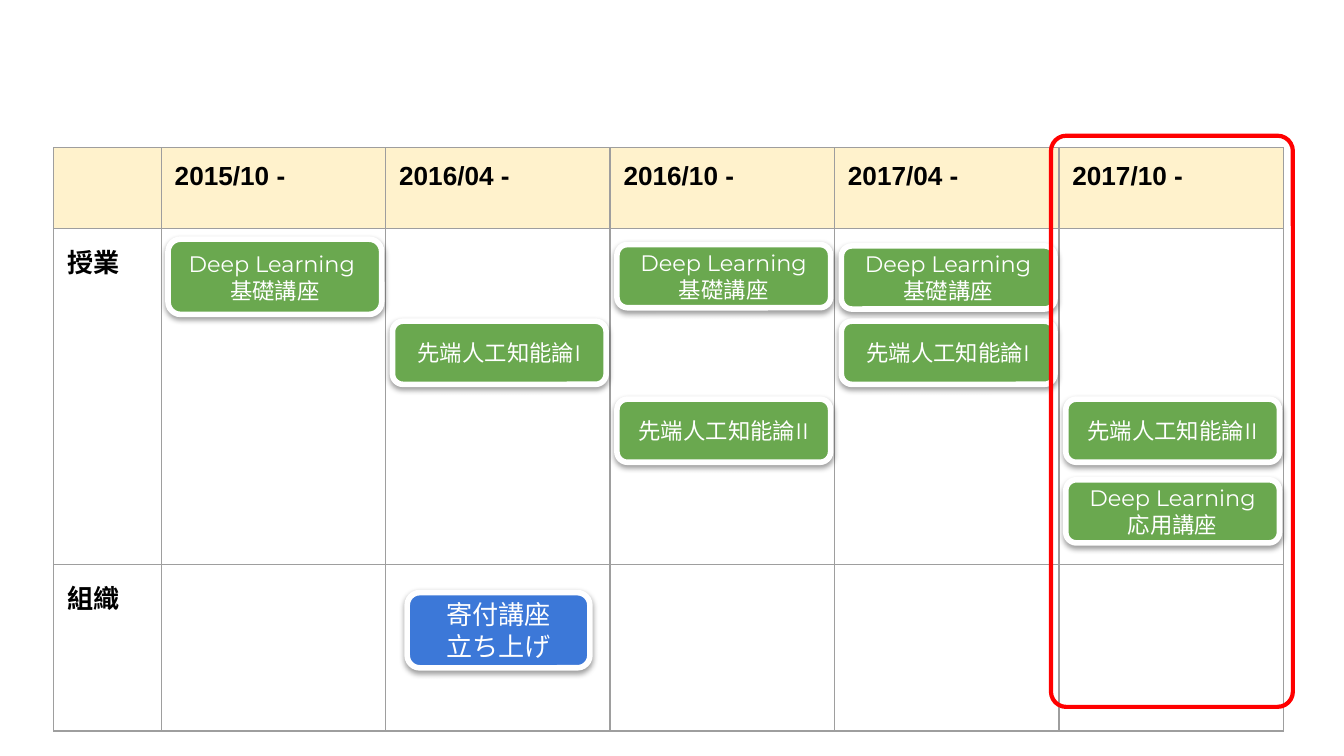
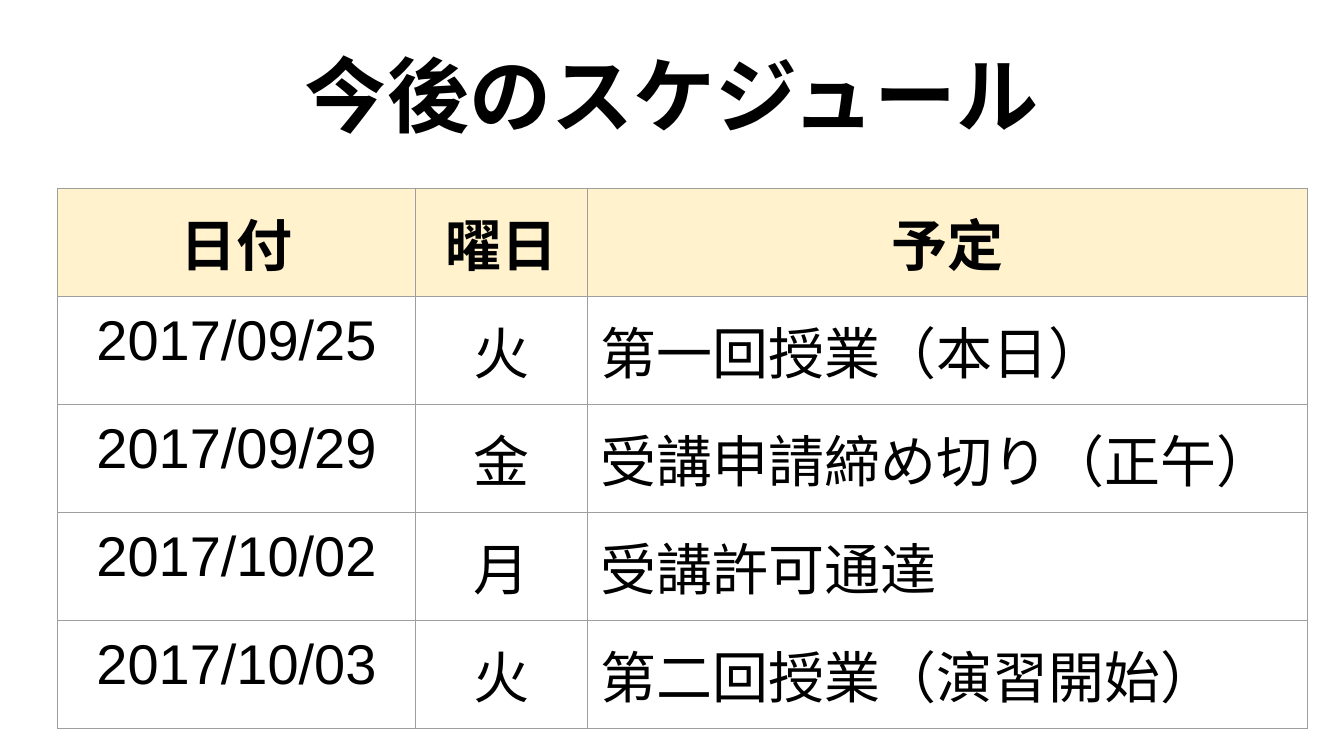
from lxml import etree
from pptx import Presentation
from pptx.dml.color import RGBColor
from pptx.enum.shapes import MSO_SHAPE
from pptx.enum.text import MSO_ANCHOR, PP_ALIGN
from pptx.oxml import parse_xml
from pptx.util import Inches, Pt

ROUND = MSO_SHAPE.ROUNDED_RECTANGLE
MIDDLE = MSO_ANCHOR.MIDDLE
LEFT, CENTER = PP_ALIGN.LEFT, PP_ALIGN.CENTER

BLACK = RGBColor(0x00, 0x00, 0x00)
WHITE = RGBColor(0xFF, 0xFF, 0xFF)
CREAM = RGBColor(0xFF, 0xF2, 0xCC)
GRAY = RGBColor(0x9E, 0x9E, 0x9E)
GREEN = RGBColor(0x6A, 0xA8, 0x4F)
BLUE = RGBColor(0x3C, 0x78, 0xD8)
RED = RGBColor(0xFF, 0x00, 0x00)
NS = "http://schemas.openxmlformats.org/drawingml/2006/main"

TERMS = [
    ["", "2015/10 -", "2016/04 -", "2016/10 -", "2017/04 -", "2017/10 -"],
    ["授業", "", "", "", "", ""],
    ["組織", "", "", "", "", ""],
]
TERM_X, TERM_Y = 0.4, 1.1
TERM_COLS = [0.8] + [1.67] * 5
TERM_ROWS = [0.6, 2.5, 1.24]

BASIC = "Deep Learning基礎講座"
APPLIED = "Deep Learning応用講座"
AI_ONE = "先端人工知能論I"
AI_TWO = "先端人工知能論II"
COURSES = [
    (1, 2.39, 0.47, AI_ONE),
    (0, 1.78, 0.56, "Deep Learning \n基礎講座"),
    (2, 2.97, 0.47, AI_TWO),
    (2, 1.82, 0.47, BASIC),
    (3, 1.83, 0.47, BASIC),
    (3, 2.39, 0.47, AI_ONE),
    (4, 2.97, 0.47, AI_TWO),
    (4, 3.57, 0.47, APPLIED),
]

TITLE = "今後のスケジュール"
DATES = [
    ["日付", "曜日", "予定"],
    ["2017/09/25", "火", "第一回授業（本日）"],
    ["2017/09/29", "金", "受講申請締め切り（正午）"],
    ["2017/10/02", "月", "受講許可通達"],
    ["2017/10/03", "火", "第二回授業（演習開始）"],
]
DATE_COLS = [2.66, 1.28, 5.36]
DATE_ROWS = [0.42] * len(DATES)


def style(frame, font, size, color, bold, align):
    """Format every paragraph and run of a text frame."""
    for para in frame.paragraphs:
        para.alignment = align
        for run in para.runs:
            run.font.name, run.font.size = font, Pt(size)
            run.font.bold, run.font.color.rgb = bold, color


def pad(box, side, edge):
    """Set the inner margins of a cell or text frame."""
    box.margin_left = box.margin_right = Inches(side)
    box.margin_top = box.margin_bottom = Inches(edge)


def border(cell):
    """Draw a thin gray line on all four sides of a cell."""
    props = cell._tc.get_or_add_tcPr()
    for spot, side in enumerate(("lnL", "lnR", "lnT", "lnB")):
        line = etree.fromstring(
            f'<a:{side} xmlns:a="{NS}" w="{Pt(0.75)}"><a:solidFill>'
            f'<a:srgbClr val="{GRAY}"/></a:solidFill></a:{side}>')
        props.insert(spot, line)


def add_grid(slide, left, top, cols, rows, data, size, look):
    """Add a table; look gives bold and alignment for a row and column."""
    frame = slide.shapes.add_table(
        len(rows), len(cols), Inches(left), Inches(top),
        Inches(sum(cols)), Inches(sum(rows)))
    table = frame.table
    table.first_row = table.horz_banding = False
    for col, width in zip(table.columns, cols):
        col.width = Inches(width)
    for row, height in zip(table.rows, rows):
        row.height = Inches(height)
    for r, line in enumerate(data):
        for c, text in enumerate(line):
            cell = table.cell(r, c)
            cell.text_frame.text = text
            pad(cell, 0.1, 0.1)
            if r == 0:
                cell.fill.solid()
                cell.fill.fore_color.rgb = CREAM
            else:
                cell.fill.background()
            border(cell)
            bold, align = look(r, c)
            style(cell.text_frame, "Arial", size, BLACK, bold, align)


def add_round(slide, left, top, width, height, radius, color, weight):
    """Add an outlined rounded rectangle."""
    shape = slide.shapes.add_shape(
        ROUND, Inches(left), Inches(top), Inches(width), Inches(height))
    shape.adjustments[0] = radius
    shape.shadow.inherit = False
    shape.line.color.rgb, shape.line.width = color, Pt(weight)
    return shape


def add_card(slide, left, top, width, height, text, fill, size):
    """Add a filled card with a white edge and a soft shadow."""
    card = add_round(slide, left, top, width, height, 0.167, WHITE, 3)
    card.fill.solid()
    card.fill.fore_color.rgb = fill
    effects = card._element.spPr.find(f"{{{NS}}}effectLst")
    effects.append(parse_xml(
        f'<a:outerShdw xmlns:a="{NS}" blurRad="{Pt(3.1)}" dist="{Pt(1.6)}" '
        'dir="5400000" rotWithShape="0"><a:srgbClr val="000000">'
        '<a:alpha val="38000"/></a:srgbClr></a:outerShdw>'))
    frame = card.text_frame
    frame.text = text
    frame.word_wrap, frame.vertical_anchor = True, MIDDLE
    pad(frame, 0.1, 0.05)
    style(frame, "Montserrat", size, WHITE, False, CENTER)


def add_terms(deck):
    """Build the slide of courses by term."""
    slide = deck.slides.add_slide(deck.slide_layouts[6])
    add_grid(slide, TERM_X, TERM_Y, TERM_COLS, TERM_ROWS, TERMS, 14,
             lambda r, c: (True, LEFT))
    for term, top, height, text in COURSES:
        left = TERM_X + sum(TERM_COLS[:term + 1]) + 0.05
        add_card(slide, left, top, 1.59, height, text, GREEN, 12)
    add_card(slide, 3.03, 4.41, 1.36, 0.56, "寄付講座\n立ち上げ", BLUE, 14)
    mark = add_round(slide, 7.82, 1.01, 1.8, 4.25, 0.063, RED, 2.25)
    mark.fill.background()


def add_dates(deck):
    """Build the slide of coming dates."""
    slide = deck.slides.add_slide(deck.slide_layouts[5])
    title = slide.shapes.title
    title.left, title.top = Inches(0.5), Inches(0.23)
    title.width, title.height = Inches(9), Inches(0.94)
    frame = title.text_frame
    frame.text = TITLE
    frame.word_wrap, frame.vertical_anchor = True, MIDDLE
    pad(frame, 0.1, 0.1)
    style(frame, "Calibri", 44, BLACK, True, CENTER)
    add_grid(slide, 0.43, 1.4, DATE_COLS, DATE_ROWS, DATES, 30,
             lambda r, c: (r == 0, LEFT if r and c == 2 else CENTER))


def main():
    """Build and save the deck."""
    deck = Presentation()
    deck.slide_width = Inches(10)
    deck.slide_height = deck.slide_width * 9 // 16
    add_terms(deck)
    add_dates(deck)
    deck.save("out.pptx")


if __name__ == "__main__":
    main()
